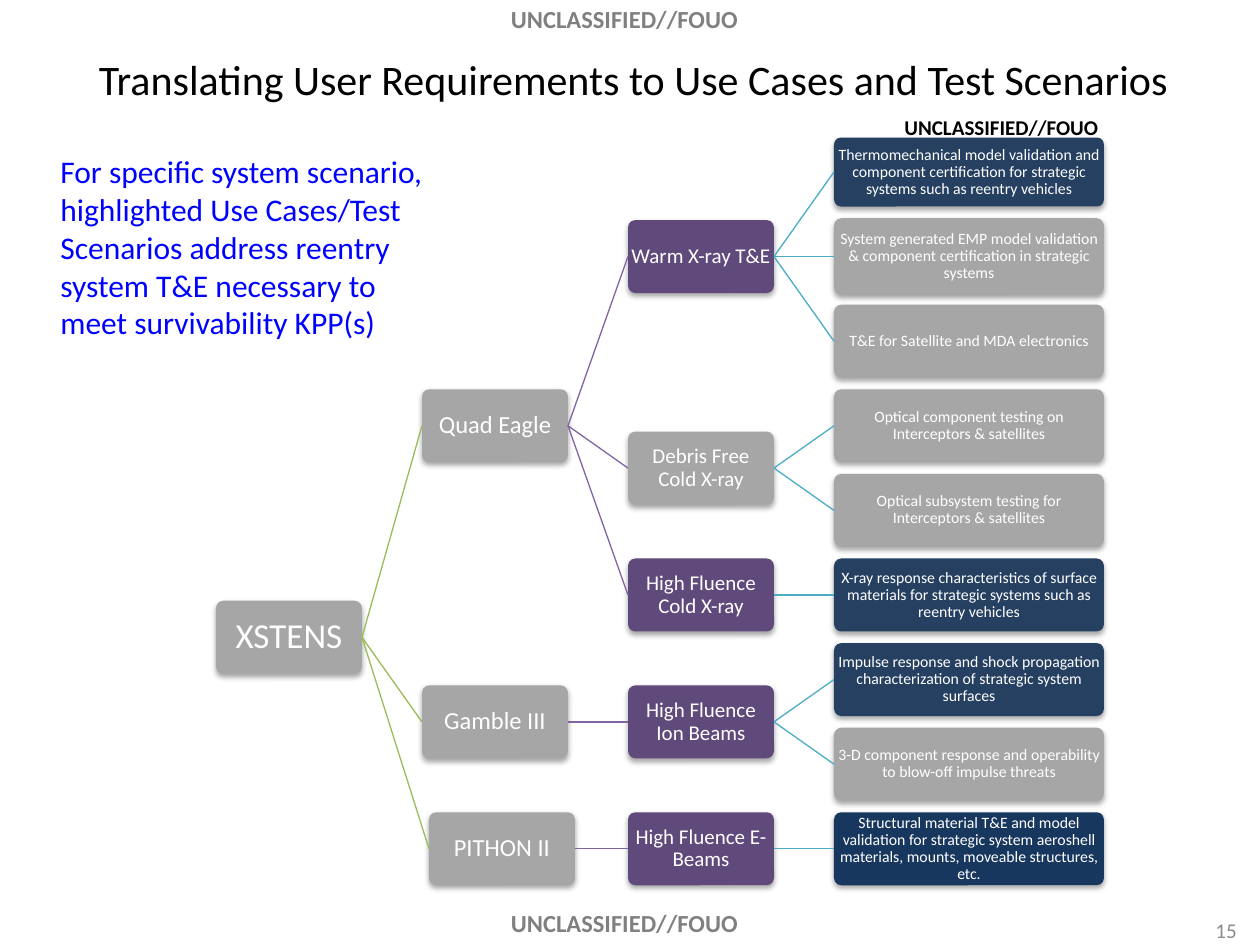
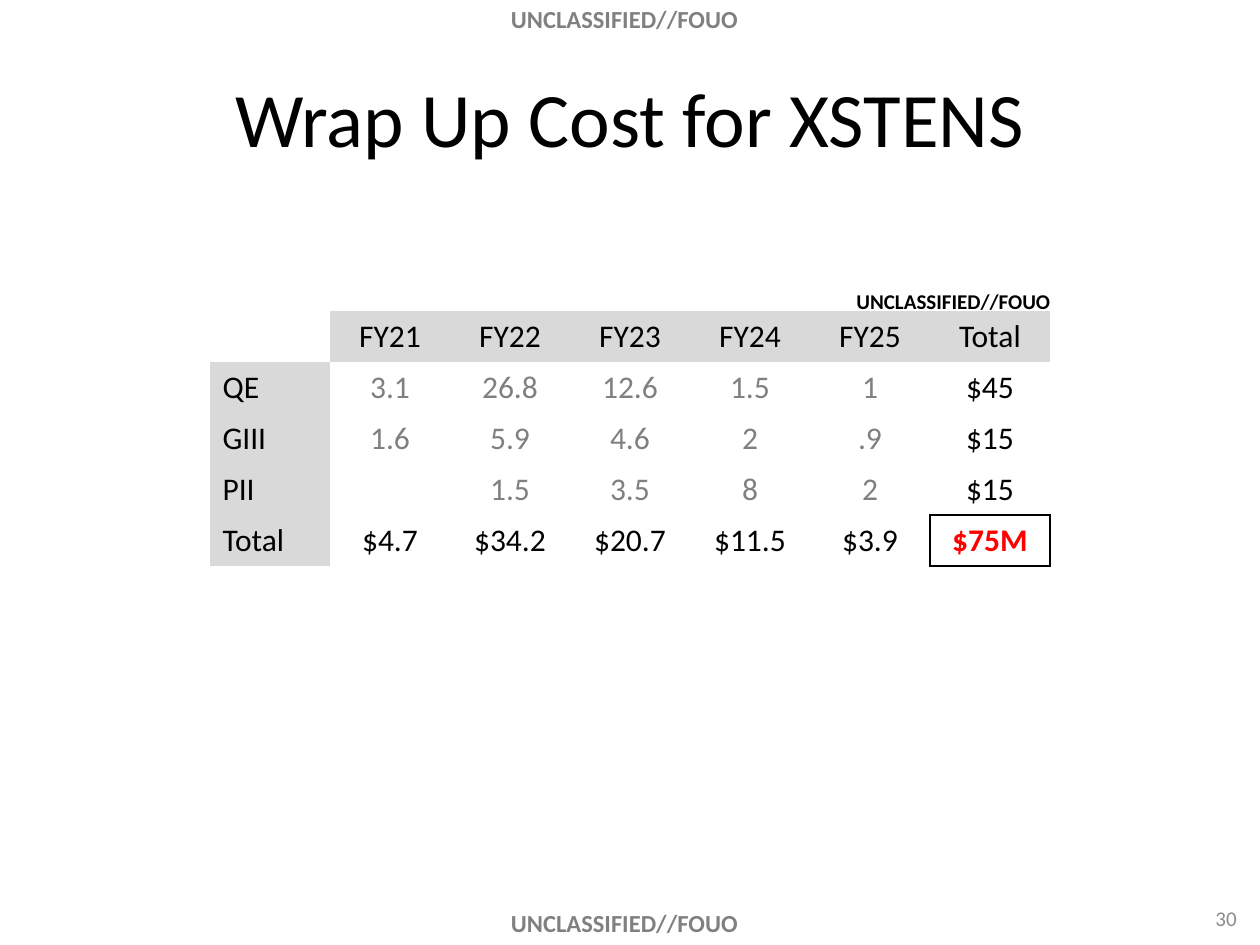
"""Builds the XSTENS use case tree and wrap up cost slides."""
from lxml import etree
from pptx import Presentation
from pptx.dml.color import RGBColor
from pptx.enum.shapes import MSO_CONNECTOR, MSO_SHAPE
from pptx.enum.text import MSO_ANCHOR, PP_ALIGN
from pptx.oxml import parse_xml
from pptx.oxml.ns import nsdecls, qn
from pptx.util import Pt

STRAIGHT = MSO_CONNECTOR.STRAIGHT
RECT, ROUND = MSO_SHAPE.RECTANGLE, MSO_SHAPE.ROUNDED_RECTANGLE
TOP, MIDDLE = MSO_ANCHOR.TOP, MSO_ANCHOR.MIDDLE
LEFT, CENTER, RIGHT = PP_ALIGN.LEFT, PP_ALIGN.CENTER, PP_ALIGN.RIGHT

FONT = "Calibri"
MARKING = "UNCLASSIFIED//FOUO"
COLORS = {
    "white": "FFFFFF", "black": "000000", "marking": "808080", "number": "8C8C8C",
    "note": "0000FF", "gray": "A6A6A6", "purple": "604A7B", "navy": "254061",
    "deep": "17375E", "header": "D9D9D9", "sum": "FF0000",
}
LINK_COLORS = ["9BBB59", "8064A2", "4BACC6"]

TREE_TITLE = "Translating User Requirements to Use Cases and Test Scenarios"
NOTE = ("For specific system scenario, highlighted Use Cases/Test Scenarios address "
        "reentry system T&E necessary to meet survivability KPP(s)")
TREE = ("XSTENS", "gray", [
    ("Quad Eagle", "gray", [
        ("Warm X-ray T&E", "purple", [
            ("Thermomechanical model validation and component certification for "
             "strategic systems such as reentry vehicles", "navy", []),
            ("System generated EMP model validation & component certification in "
             "strategic systems", "gray", []),
            ("T&E for Satellite and MDA electronics", "gray", []),
        ]),
        ("Debris Free Cold X-ray", "gray", [
            ("Optical component testing on Interceptors & satellites", "gray", []),
            ("Optical subsystem testing for Interceptors & satellites", "gray", []),
        ]),
        ("High Fluence Cold X-ray", "purple", [
            ("X-ray response characteristics of surface materials for strategic "
             "systems such as reentry vehicles", "navy", []),
        ]),
    ]),
    ("Gamble III", "gray", [
        ("High Fluence Ion Beams", "purple", [
            ("Impulse response and shock propagation characterization of strategic "
             "system surfaces", "navy", []),
            ("3-D component response and operability to blow-off impulse threats",
             "gray", []),
        ]),
    ]),
    ("PITHON II", "gray", [
        ("High Fluence E-Beams", "purple", [
            ("Structural material T&E and model validation for strategic system "
             "aeroshell materials, mounts, moveable structures, etc.", "deep", []),
        ]),
    ]),
])
NODE_SIZES = [20, 14, 12, 9]
NODE_WIDTHS = [146, 146, 146, 270]
NODE_HEIGHT = 73
LEAF_HEIGHTS = {0: 69, 1: 77}
SHIFTS = {"PITHON II": 7}
TREE_LEFT, COLUMN_STEP = 216, 206
FIRST_LEAF, LEAF_STEP = 172, 84.6

COST_TITLE = "Wrap Up Cost for XSTENS"
COSTS = [
    ["", "FY21", "FY22", "FY23", "FY24", "FY25", "Total"],
    ["QE", "3.1", "26.8", "12.6", "1.5", "1", "$45"],
    ["GIII", "1.6", "5.9", "4.6", "2", ".9", "$15"],
    ["PII", "", "1.5", "3.5", "8", "2", "$15"],
    ["Total", "$4.7", "$34.2", "$20.7", "$11.5", "$3.9", "$75M"],
]
COST_AT = (210, 311)
CELL_WIDTH, CELL_HEIGHT = 120, 51
BORDERS = {(3, 6): "B", (4, 5): "R", (4, 6): "LRTB"}
NO_STYLE = "{2D5ABB26-0587-4C30-8999-92F81FD0307C}"

SHADOW = (f'<a:effectLst {nsdecls("a")}><a:outerShdw blurRad="40000" dist="23000" '
          'dir="5400000" rotWithShape="0"><a:srgbClr val="000000">'
          '<a:alpha val="35000"/></a:srgbClr></a:outerShdw></a:effectLst>')


def px(*values):
    emu = [round(v * 914400 / 126) for v in values]
    return emu if len(emu) > 1 else emu[0]


def rgb(name):
    return RGBColor.from_string(COLORS.get(name, name))


def set_text(tf, text, size, color="black", bold=False, align=LEFT, anchor=TOP, wrap=True):
    tf.text, tf.word_wrap, tf.vertical_anchor = text, wrap, anchor
    p = tf.paragraphs[0]
    p.alignment = align
    p.font.name, p.font.size, p.font.bold = FONT, Pt(size), bold
    p.font.color.rgb = rgb(color)
    return p


def add_text(s, box, text, size, **style):
    set_text(s.shapes.add_textbox(*px(*box)).text_frame, text, size, **style)


def add_box(s, kind, box, fill):
    sp = s.shapes.add_shape(kind, *px(*box))
    sp.shadow.inherit = False
    sp.fill.solid()
    sp.fill.fore_color.rgb = rgb(fill)
    sp.line.fill.background()
    return sp


def add_slide(prs, title, size, title_box, number, number_top):
    s = prs.slides.add_slide(prs.slide_layouts[5])
    for top in (-2, 902):
        sp = add_box(s, RECT, (399, top, 451, 43), "white")
        set_text(sp.text_frame, MARKING, 14, "marking", True, CENTER)
    sp = s.shapes.title
    sp.left, sp.top, sp.width, sp.height = px(*title_box)
    set_text(sp.text_frame, title, size, align=CENTER, anchor=MIDDLE)
    add_text(s, (955, number_top, 294, 50), number, 12, color="number",
             align=RIGHT, anchor=MIDDLE)
    return s


def add_link(s, parent, child, color):
    line = s.shapes.add_connector(STRAIGHT, 0, 0, 0, 0)
    line.begin_connect(parent, 3)
    line.end_connect(child, 1)
    line.line.color.rgb = rgb(color)
    line.line.width = Pt(0.75)
    etree.SubElement(line._element.spPr, qn("a:effectLst"))


def add_node(s, node, level, leaves):
    """Draw a node after its children and return its shape and centre."""
    text, fill, children = node
    height = NODE_HEIGHT
    drawn = [add_node(s, child, level + 1, leaves) for child in children]
    if drawn:
        centre = (drawn[0][1] + drawn[-1][1]) / 2
    else:
        height = LEAF_HEIGHTS.get(len(leaves), NODE_HEIGHT)
        centre = FIRST_LEAF + len(leaves) * LEAF_STEP
        leaves.append(text)
    left = TREE_LEFT + level * COLUMN_STEP + SHIFTS.get(text, 0)
    sp = add_box(s, ROUND, (left, centre - height / 2, NODE_WIDTHS[level], height), fill)
    sp.adjustments[0] = 0.1
    spPr = sp._element.spPr
    spPr.replace(spPr.find(qn("a:effectLst")), parse_xml(SHADOW))
    tf = sp.text_frame
    tf.margin_left = tf.margin_right = tf.margin_top = tf.margin_bottom = px(1)
    p = set_text(tf, text, NODE_SIZES[level], "white", align=CENTER, anchor=MIDDLE)
    p.line_spacing = 0.9
    for child, _ in drawn:
        add_link(s, sp, child, LINK_COLORS[level])
    return sp, centre


def add_border(cell, sides):
    tcPr = cell._tc.get_or_add_tcPr()
    for side in sides:
        tcPr.append(parse_xml(
            f'<a:ln{side} {nsdecls("a")} w="12700"><a:solidFill>'
            f'<a:srgbClr val="{COLORS["black"]}"/></a:solidFill></a:ln{side}>'))


def add_costs(s):
    rows, cols = len(COSTS), len(COSTS[0])
    table = s.shapes.add_table(
        rows, cols, *px(*COST_AT, cols * CELL_WIDTH, rows * CELL_HEIGHT)).table
    table.first_row = table.horz_banding = False
    table._tbl.tblPr.find(qn("a:tableStyleId")).text = NO_STYLE
    for i, row in enumerate(COSTS):
        for j, text in enumerate(row):
            cell = table.cell(i, j)
            add_border(cell, BORDERS.get((i, j), ""))
            if (i == 0) != (j == 0):
                cell.fill.solid()
                cell.fill.fore_color.rgb = rgb("header")
            else:
                cell.fill.background()
            grand = (i, j) == (rows - 1, cols - 1)
            inner = 0 < i < rows - 1 and 0 < j < cols - 1
            color = "sum" if grand else "marking" if inner else "black"
            p = cell.text_frame.paragraphs[0]
            p.text = text
            p.alignment = CENTER if j else LEFT
            p.font.name, p.font.size, p.font.bold = FONT, Pt(18), grand
            p.font.color.rgb = rgb(color)


def main():
    prs = Presentation()
    prs.slide_width, prs.slide_height = px(1260, 945)

    s = add_slide(prs, TREE_TITLE, 24, (-38, 0, 1343, 158), "15", 905)
    add_node(s, TREE, 0, [])
    add_text(s, (892, 108, 224, 38), MARKING, 12, bold=True)
    add_text(s, (48, 146, 404, 204), NOTE, 18, color="note")

    s = add_slide(prs, COST_TITLE, 44, (63, 38, 1134, 158), "30", 893)
    add_costs(s)
    add_text(s, (844, 282, 222, 38), MARKING, 12, bold=True, wrap=False)

    prs.save("out.pptx")


if __name__ == "__main__":
    main()
